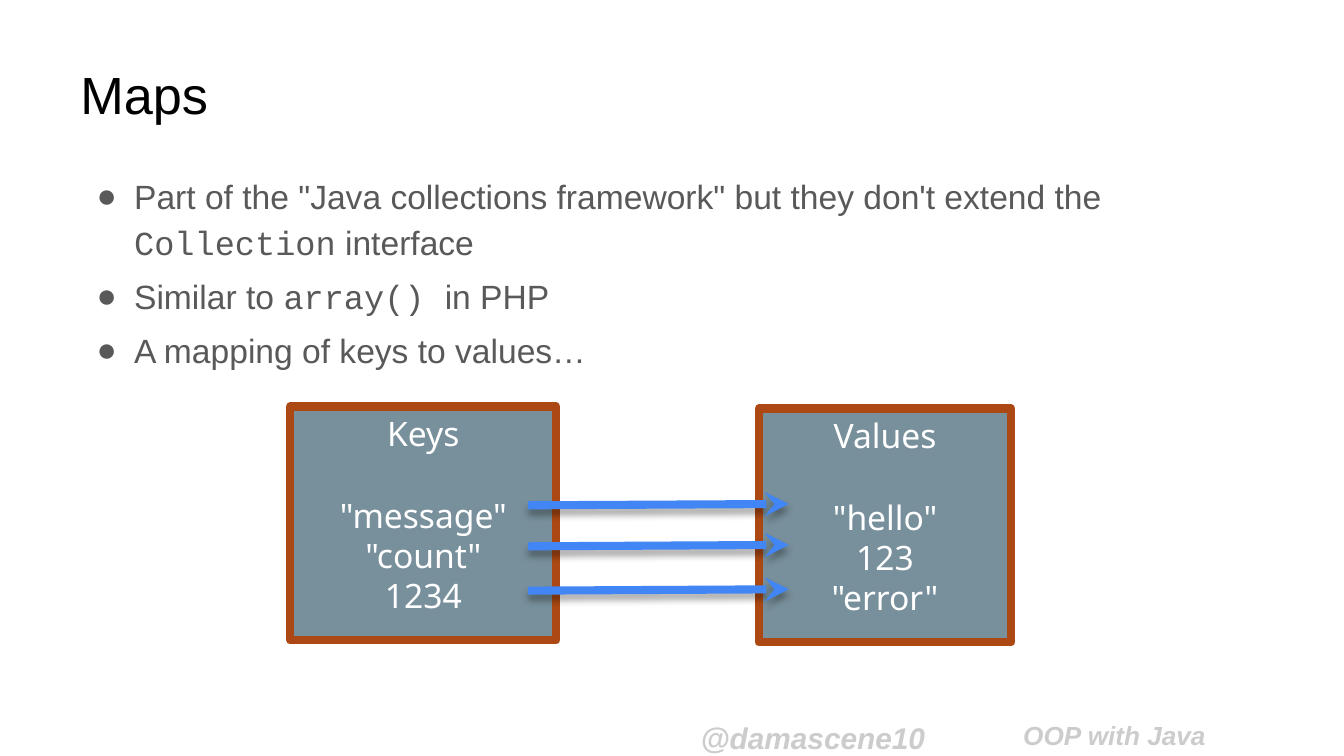
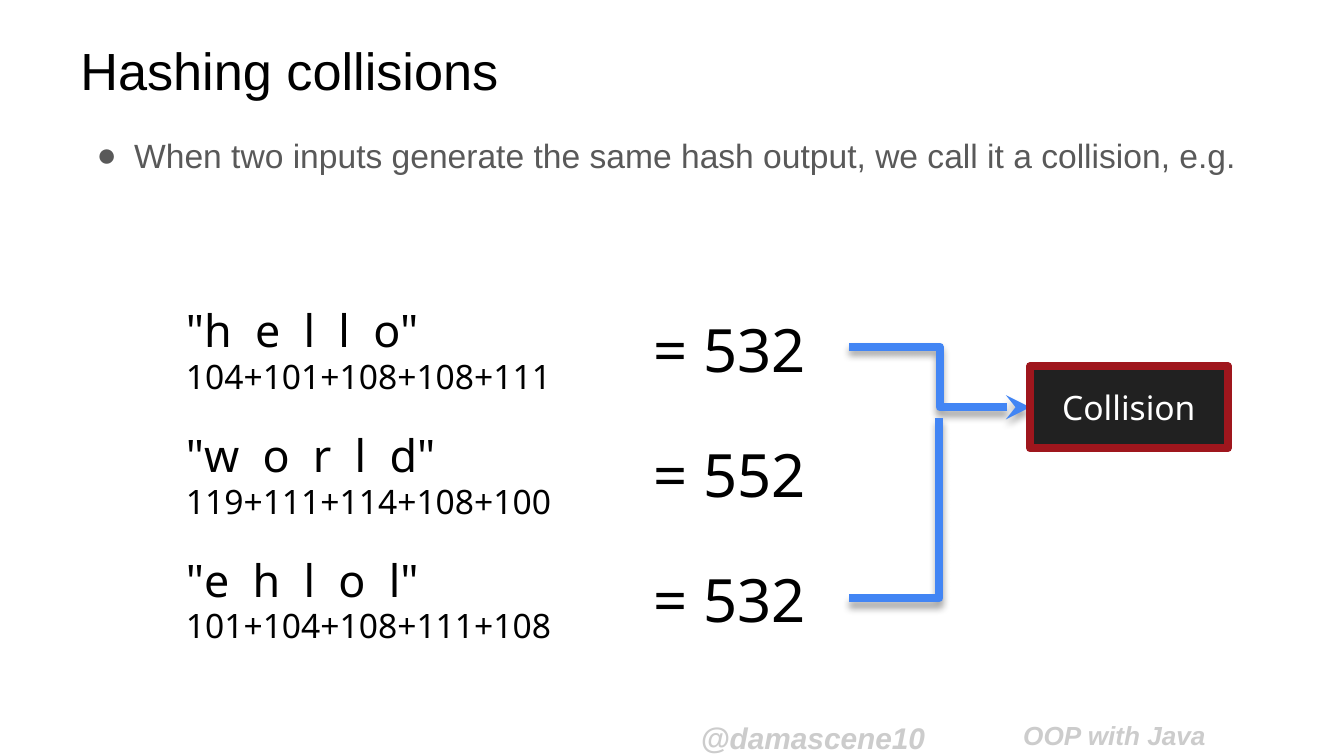
from lxml import etree
from pptx import Presentation
from pptx import util as u
from pptx.dml.color import RGBColor
from pptx.enum import shapes, text
from pptx.oxml import ns

BLACK = RGBColor(0x00, 0x00, 0x00)
WHITE = RGBColor(0xFF, 0xFF, 0xFF)
BODY_GREY = RGBColor(0x59, 0x59, 0x59)
FOOTER_GREY = RGBColor(0xCC, 0xCC, 0xCC)
ARROW_BLUE = RGBColor(0x42, 0x85, 0xF4)
BOX_SLATE = RGBColor(0x78, 0x90, 0x9C)
BOX_RUST = RGBColor(0xAB, 0x48, 0x13)
COLLISION_FILL = RGBColor(0x21, 0x21, 0x21)
COLLISION_RED = RGBColor(0x9F, 0x16, 0x1D)

SANS, CODE, DIAGRAM = "Arial", "Courier New", "Noto Sans"
LINE_WIDTH = u.Pt(4.33)
PX = 4572
SLIDE_SIZE = (2000, 1125)

FOOTERS = [("@damascene10", 1023, 16), ("OOP with Java", 1503, 14)]
MAPS = {
    "title": ("Maps", (100, 46, 1800, 188)),
    "body_box": (100, 243, 1800, 742),
    "bullets": [
        [("Part of the \"Java collections framework\" but they don't extend the ", SANS),
         ("Collection", CODE), (" interface", SANS)],
        [("Similar to ", SANS), ("array() ", CODE), ("in PHP", SANS)],
        [("A mapping of keys to values…", SANS)],
    ],
}
MAP_BOXES = [
    ("Keys", ['"message"', '"count"', "1234"], (432, 605, 396, 348)),
    ("Values", ['"hello"', "123", '"error"'], (1129, 608, 376, 348)),
]
MAP_ARROW_TOPS = [752, 813, 879]
COLLISIONS = {
    "title": ("Hashing collisions", (100, 34, 1800, 140)),
    "body_box": (100, 182, 1800, 556),
    "bullets": [[("When two inputs generate the same hash output, "
                  "we call it a collision, e.g.", SANS)]],
}
HASHED_WORDS = ["hello", "world", "ehlol"]
HASH_TOP, HASH_PITCH = 441, 185.5
COLLISION_BOX = (1533, 545, 294, 122)

FOOTER_FORMAT = {"name": SANS, "bold": True, "italic": True}
TITLE_FORMAT = {"name": SANS, "size": u.Pt(28)}
BODY_FORMAT = {"size": u.Pt(18)}
BOX_FORMAT = {"name": DIAGRAM, "size": u.Pt(18)}
WORD_FORMAT = {"name": DIAGRAM, "size": u.Pt(24)}
SUM_FORMAT = {"name": DIAGRAM, "size": u.Pt(32)}


def emu(lengths):
    return [round(length * PX) for length in lengths]


def set_format(target, values):
    for name, value in values.items():
        setattr(target, name, value)


def add_run(paragraph, content, font_format, color):
    run = paragraph.add_run()
    run.text = content
    set_format(run.font, font_format)
    run.font.color.rgb = color
    return run


def set_frame(shape, anchor=text.MSO_ANCHOR.TOP, inset=10):
    frame = shape.text_frame
    set_format(frame, {
        "word_wrap": True, "vertical_anchor": anchor,
        "margin_left": 20 * PX, "margin_right": 20 * PX,
        "margin_top": inset * PX, "margin_bottom": inset * PX,
    })
    return frame


def add_text(slide, content, box, font_format, color=BLACK, **frame_options):
    frame = set_frame(slide.shapes.add_textbox(*emu(box)), **frame_options)
    add_run(frame.paragraphs[0], content, font_format, color)


def add_bullet(paragraph):
    properties = paragraph._p.get_or_add_pPr()
    properties.set("marL", str(80 * PX))
    properties.set("indent", str(-56 * PX))
    color = etree.SubElement(properties, ns.qn("a:buClr"))
    etree.SubElement(color, ns.qn("a:srgbClr"), val=str(BODY_GREY))
    etree.SubElement(properties, ns.qn("a:buFont"), typeface=SANS)
    etree.SubElement(properties, ns.qn("a:buChar"), char="●")


def add_slide(presentation, content):
    slide = presentation.slides.add_slide(presentation.slide_layouts[6])
    for label, left, size in FOOTERS:
        add_text(slide, label, (left, 1051, 436, 66),
                 {**FOOTER_FORMAT, "size": u.Pt(size)}, FOOTER_GREY, inset=20)
    frame = set_frame(slide.shapes.add_textbox(*emu(content["body_box"])))
    for index, runs in enumerate(content["bullets"]):
        paragraph = frame.add_paragraph() if index else frame.paragraphs[0]
        set_format(paragraph, {"line_spacing": 1.15, "space_before": u.Pt(4 if index else 0)})
        add_bullet(paragraph)
        for wording, font in runs:
            add_run(paragraph, wording, {**BODY_FORMAT, "name": font}, BODY_GREY)
    title, box = content["title"]
    add_text(slide, title, box, TITLE_FORMAT, anchor=text.MSO_ANCHOR.MIDDLE)
    return slide


def add_box(slide, lines, box, fill, outline, anchor, heading_gap=0):
    shape = slide.shapes.add_shape(shapes.MSO_SHAPE.RECTANGLE, *emu(box))
    shape.shadow.inherit = False
    shape.fill.solid()
    shape.fill.fore_color.rgb = fill
    shape.line.color.rgb = outline
    shape.line.width = LINE_WIDTH
    frame = set_frame(shape, anchor)
    for index, line in enumerate(lines):
        paragraph = frame.add_paragraph() if index else frame.paragraphs[0]
        paragraph.alignment = text.PP_ALIGN.CENTER
        if index == 1:
            paragraph.space_before = u.Pt(heading_gap)
        add_run(paragraph, line, BOX_FORMAT, WHITE)


def add_line(slide, start, end, kind=shapes.MSO_CONNECTOR.STRAIGHT, arrow=True):
    connector = slide.shapes.add_connector(kind, *emu(start + end))
    connector.line.color.rgb = ARROW_BLUE
    connector.line.width = LINE_WIDTH
    if arrow:
        etree.SubElement(connector.line._get_or_add_ln(), ns.qn("a:tailEnd"), type="stealth")
    effects = etree.SubElement(connector.element.spPr, ns.qn("a:effectLst"))
    shadow = etree.SubElement(effects, ns.qn("a:outerShdw"), blurRad=str(u.Pt(4)),
                              dist=str(u.Pt(3)), dir="5400000", rotWithShape="0")
    color = etree.SubElement(shadow, ns.qn("a:srgbClr"), val=str(BLACK))
    etree.SubElement(color, ns.qn("a:alpha"), val="35000")
    return connector


def add_spaced_word(slide, word, box):
    frame = set_frame(slide.shapes.add_textbox(*emu(box)))
    for wording, tracking in [('"', 0), (" ".join(word[:-1]) + " ", 312), (word[-1] + '"', 0)]:
        run = add_run(frame.paragraphs[0], wording, WORD_FORMAT, BLACK)
        run.font._element.set("spc", str(tracking))


def build_maps(presentation):
    slide = add_slide(presentation, MAPS)
    for heading, entries, box in MAP_BOXES:
        add_box(slide, [heading] + entries, box, BOX_SLATE, BOX_RUST,
                text.MSO_ANCHOR.TOP, heading_gap=22)
    for top in MAP_ARROW_TOPS:
        add_line(slide, (786, top), (1174, top - 2))


def build_collisions(presentation):
    slide = add_slide(presentation, COLLISIONS)
    for row, word in enumerate(HASHED_WORDS):
        top = HASH_TOP + row * HASH_PITCH
        codes = [ord(letter) for letter in word]
        add_spaced_word(slide, word, (257, top, 430, 100))
        add_text(slide, "+".join(map(str, codes)), (257, top + 79, 680, 80), BOX_FORMAT)
        add_text(slide, f"= {sum(codes)}", (953, top + 15, 310, 128), SUM_FORMAT)
    elbow = shapes.MSO_CONNECTOR.ELBOW
    add_line(slide, (1264, 516), (1533, 606), elbow)
    corner = add_line(slide, (1264, 890), (1398, 622), elbow, arrow=False)
    corner.element.spPr.find(ns.qn("a:prstGeom")).set("prst", "bentConnector2")
    add_box(slide, ["Collision"], COLLISION_BOX, COLLISION_FILL, COLLISION_RED,
            text.MSO_ANCHOR.MIDDLE)


def main():
    presentation = Presentation()
    presentation.slide_width, presentation.slide_height = emu(SLIDE_SIZE)
    build_maps(presentation)
    build_collisions(presentation)
    presentation.save("out.pptx")


if __name__ == "__main__":
    main()
